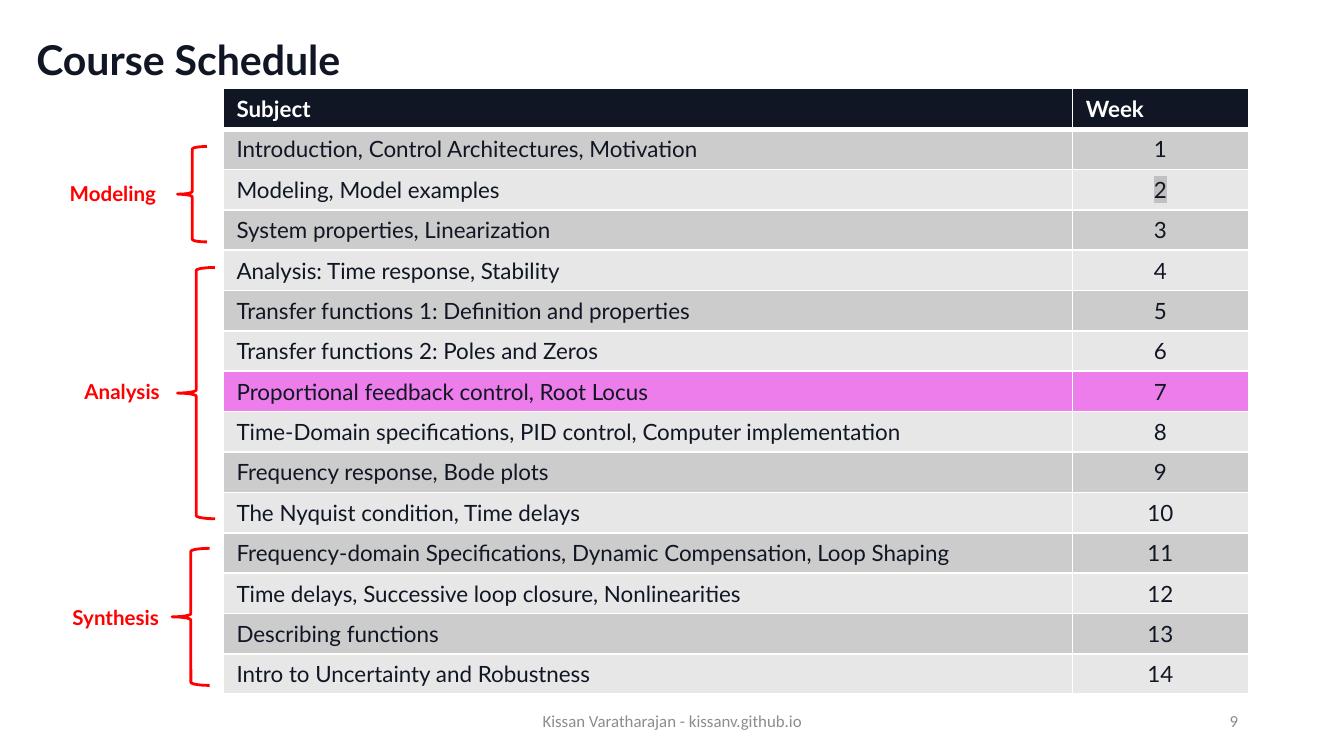
import dataclasses

import lxml.etree
import pptx
import pptx.dml.color
import pptx.enum.shapes
import pptx.enum.text
import pptx.oxml.ns
import pptx.util

RGBColor = pptx.dml.color.RGBColor
NAVY = RGBColor(0x10, 0x16, 0x23)
WHITE = RGBColor(0xFF, 0xFF, 0xFF)
RED = RGBColor(0xFF, 0x00, 0x00)
GRAY = RGBColor(0x8C, 0x8C, 0x8D)
DARK_BAND = RGBColor(0xCC, 0xCC, 0xCC)
LIGHT_BAND = RGBColor(0xE7, 0xE7, 0xE8)
CURRENT_WEEK = RGBColor(0xED, 0x7D, 0xEA)
MARKER = RGBColor(0xC0, 0xC0, 0xC0)

UNIT = pptx.util.Inches(0.1)
COLUMNS, ROWS = 100, 56.25
ALIGN = pptx.enum.text.PP_ALIGN
ANCHOR = pptx.enum.text.MSO_ANCHOR

SUBJECTS = (
    "Introduction, Control Architectures, Motivation",
    "Modeling, Model examples",
    "System properties, Linearization",
    "Analysis: Time response, Stability",
    "Transfer functions 1: Definition and properties",
    "Transfer functions 2: Poles and Zeros",
    "Proportional feedback control, Root Locus",
    "Time-Domain specifications, PID control, Computer implementation",
    "Frequency response, Bode plots",
    "The Nyquist condition, Time delays",
    "Frequency-domain Specifications, Dynamic Compensation, Loop Shaping",
    "Time delays, Successive loop closure, Nonlinearities",
    "Describing functions",
    "Intro to Uncertainty and Robustness",
)
CURRENT, MARKED = 7, 2


@dataclasses.dataclass
class Box:
    """A box measured in columns and rows of the slide grid."""

    left: float
    top: float
    width: float
    height: float

    def lengths(self):
        """Return left, top, width and height as slide lengths."""
        return [round(value * UNIT) for value in dataclasses.astuple(self)]


STAGES = (
    ("Modeling", Box(4.2, 13, 9, 2.9), Box(13.2, 10.9, 2.2, 7.1)),
    ("Analysis", Box(5.3, 27.7, 7.9, 2.9), Box(13.2, 19.9, 2.8, 18.7)),
    ("Synthesis", Box(4.4, 44.5, 8.8, 2.9), Box(12.8, 40.8, 2.8, 10.2)),
)


def write(text_frame, text, size, color, font="Lato", bold=False, align=ALIGN.LEFT):
    """Write one formatted run into the first paragraph and return it."""
    paragraph = text_frame.paragraphs[0]
    paragraph.alignment = align
    run = paragraph.add_run()
    run.text = text
    run.font.name = font
    run.font.size = pptx.util.Pt(size)
    run.font.bold = bold
    run.font.color.rgb = color
    return run


def add_child(parent, tag, **attributes):
    """Append a drawing element to the parent and return it."""
    return lxml.etree.SubElement(parent, pptx.oxml.ns.qn(tag), **attributes)


def highlight(run, color):
    """Put a marker colour behind a run."""
    mark = add_child(run.font._element, "a:highlight")
    add_child(mark, "a:srgbClr", val=str(color))
    run.font._element.find(pptx.oxml.ns.qn("a:solidFill")).addnext(mark)


def style_cell(cell, fill, bottom_width):
    """Fill a cell and draw its white borders."""
    cell.fill.solid()
    cell.fill.fore_color.rgb = fill
    properties = cell._tc.get_or_add_tcPr()
    widths = {"L": 1, "R": 1, "T": 1, "B": bottom_width}
    for index, (side, width) in enumerate(widths.items()):
        line = add_child(properties, f"a:ln{side}", w=str(pptx.util.Pt(width)))
        add_child(add_child(line, "a:solidFill"), "a:srgbClr", val=str(WHITE))
        properties.insert(index, line)


def add_title(slide, box):
    """Place the slide title."""
    title = slide.shapes.title
    title.left, title.top, title.width, title.height = box.lengths()
    title.text_frame.auto_size = pptx.enum.text.MSO_AUTO_SIZE.NONE
    title.text_frame.vertical_anchor = ANCHOR.MIDDLE
    write(title.text_frame, "Course Schedule", 22, NAVY, bold=True)
    title.text_frame.paragraphs[0].line_spacing = 0.9


def add_schedule(slide, box, week_width):
    """Place the table of subjects and weeks."""
    row_count = len(SUBJECTS) + 1
    table = slide.shapes.add_table(row_count, 2, *box.lengths()).table
    table.columns[0].width = round((box.width - week_width) * UNIT)
    table.columns[1].width = round(week_width * UNIT)
    for row in table.rows:
        row.height = round(box.height * UNIT / row_count)
    for column, heading in enumerate(("Subject", "Week")):
        cell = table.cell(0, column)
        style_cell(cell, NAVY, 3)
        write(cell.text_frame, heading, 12, WHITE, bold=True)
    for week, subject in enumerate(SUBJECTS, 1):
        fill = DARK_BAND if week % 2 else LIGHT_BAND
        if week == CURRENT:
            fill = CURRENT_WEEK
        subject_cell, week_cell = table.rows[week].cells
        style_cell(subject_cell, fill, 1)
        style_cell(week_cell, fill, 1)
        write(subject_cell.text_frame, subject, 12, NAVY)
        run = write(week_cell.text_frame, str(week), 12, NAVY, align=ALIGN.CENTER)
        if week == MARKED:
            highlight(run, MARKER)


def add_stage(slide, name, label_box, brace_box):
    """Place a stage name and the brace around its weeks."""
    label = slide.shapes.add_textbox(*label_box.lengths())
    label.text_frame.word_wrap = False
    write(label.text_frame, name, 11, RED, bold=True)
    brace = slide.shapes.add_shape(
        pptx.enum.shapes.MSO_SHAPE.LEFT_BRACE, *brace_box.lengths())
    brace.shadow.inherit = False
    brace.fill.background()
    brace.line.color.rgb = RED
    brace.line.width = pptx.util.Pt(1.5)


def add_footer_text(slide, box, text, align):
    """Place one part of the footer."""
    footer = slide.shapes.add_textbox(*box.lengths())
    footer.text_frame.word_wrap = True
    footer.text_frame.vertical_anchor = ANCHOR.MIDDLE
    write(footer.text_frame, text, 9, GRAY, font="Calibri", align=align)


def main():
    """Build the course schedule slide."""
    presentation = pptx.Presentation()
    presentation.slide_width = round(COLUMNS * UNIT)
    presentation.slide_height = round(ROWS * UNIT)
    slide = presentation.slides.add_slide(presentation.slide_layouts[5])
    add_title(slide, Box(1.7, -0.8, 86.2, 10.9))
    add_schedule(slide, Box(16.6, 6.6, 76.3, 45), week_width=13.1)
    for name, label_box, brace_box in STAGES:
        add_stage(slide, name, label_box, brace_box)
    add_footer_text(slide, Box(33.1, 52.1, 33.8, 3),
                    "Kissan Varatharajan - kissanv.github.io", ALIGN.CENTER)
    add_footer_text(slide, Box(70.6, 52.1, 22.5, 3), "9", ALIGN.RIGHT)
    presentation.save("out.pptx")


if __name__ == "__main__":
    main()
